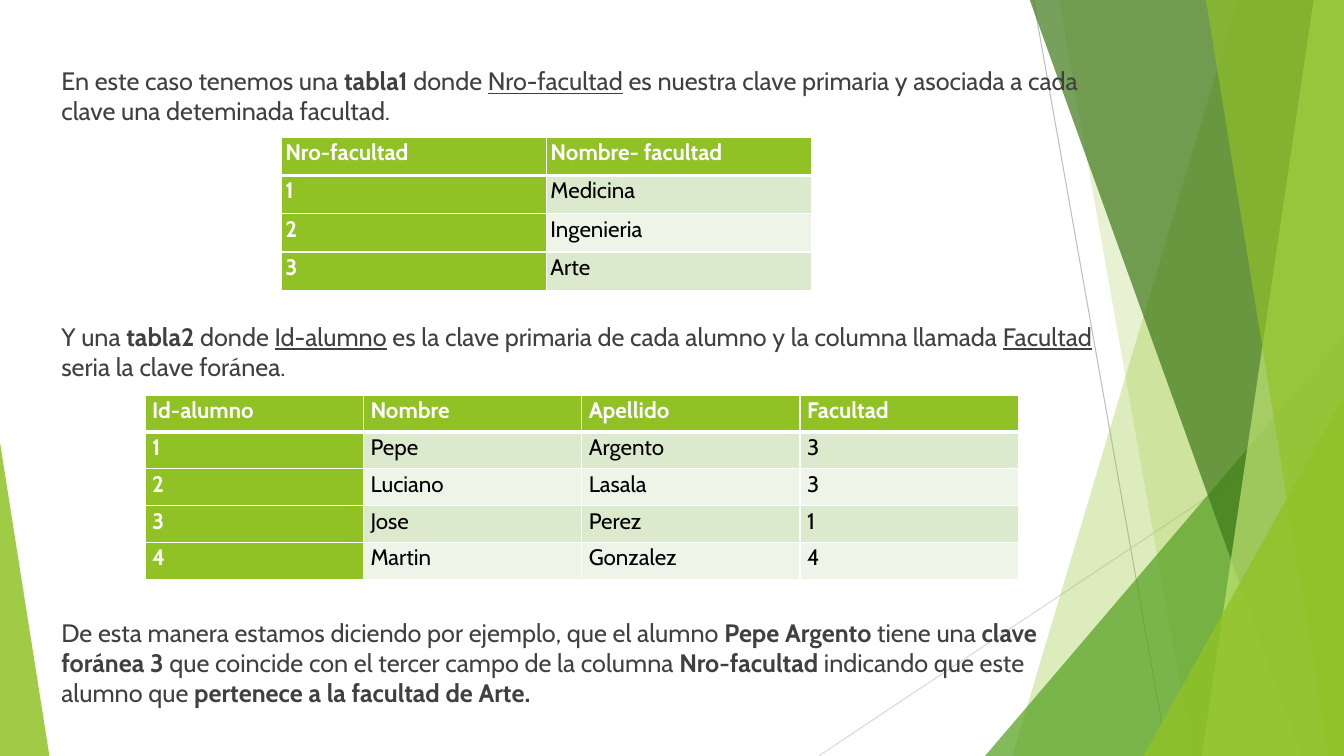
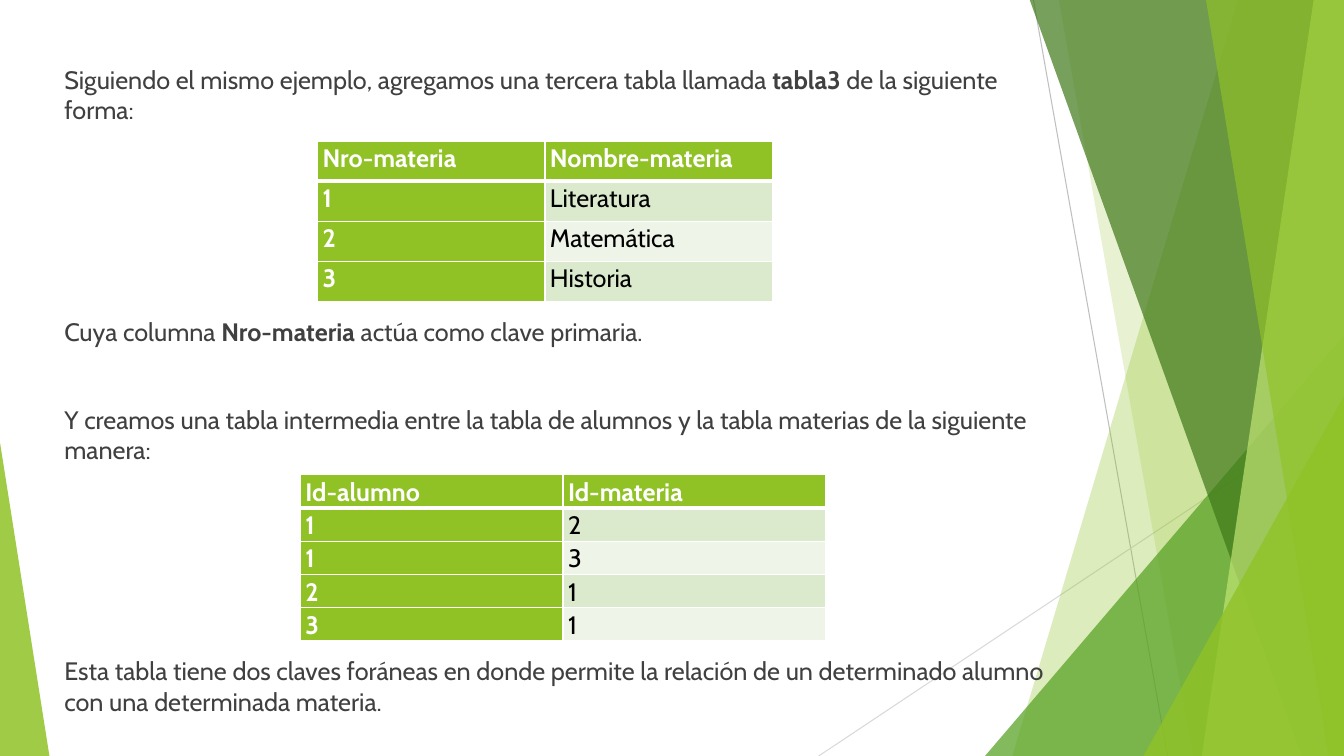
from dataclasses import dataclass

from lxml.etree import SubElement
from pptx import Presentation
from pptx.dml.color import RGBColor
from pptx.enum.shapes import MSO_CONNECTOR, MSO_SHAPE
from pptx.oxml.ns import qn
from pptx.util import Inches, Pt


@dataclass(frozen=True)
class Theme:
    """Colours, font and type sizes for the whole deck."""
    font: str = "Cabin"
    body: int = 18
    small: int = 16
    ink: str = "404040"
    black: str = "000000"
    white: str = "FFFFFF"
    lime: str = "90C226"
    green: str = "54A021"
    dark: str = "3F7819"
    pale: str = "C0E474"
    bands: tuple = ("EEF4E8", "DBE9CD")
    rules: tuple = ("BFBFBF", "D9D9D9")


theme = Theme()
WIDE, HIGH, TOP = 13.33, 7.5, -0.01

# Lines: start and end
LINES = [
    (10.25, 0, 11.58, HIGH),
    (WIDE, 4.03, 8.12, HIGH),
]

# Shards: fill, opacity, then either the left edge (top x, base x)
# or a triangle (left, top, width, height, apex)
SHARDS = [
    (theme.lime, 30, (12.28, 10.04)),
    (theme.lime, 20, (10.5, 11.83)),
    (theme.green, 72, (9.77, 3.33, 3.56, 4.17, 1)),
    (theme.dark, 70, (10.21, 12.91)),
    (theme.pale, 70, (13.03, 11.92)),
    (theme.lime, 65, (11.96, 13.18)),
    (theme.lime, 80, (11.34, 3.93, 1.99, 3.57, 1)),
    (theme.lime, 85, (0, 4.39, 0.49, 3.11, 0)),
]

# Slides: text box, paragraphs (space before, text), tables.
# In the text, *stars* mark bold and _bars_ mark underline.
SLIDES = [
    {
        "box": (0.51, 0.6, 10.52, 6.9),
        "text": [
            (0, "En este caso tenemos una *tabla1* donde _Nro-facultad_ es nuestra "
                "clave primaria y asociada a cada clave una deteminada facultad."),
            (139.6, "Y una *tabla2* donde _Id-alumno_ es la clave primaria de cada "
                    "alumno y la columna llamada _Facultad_ seria la clave foránea."),
            (168, "De esta manera estamos diciendo por ejemplo, que el alumno "
                  "*Pepe Argento *tiene una *clave foránea 3 *que coincide con el "
                  "tercer campo de la columna *Nro-facultad* indicando que este "
                  "alumno que *pertenece a la facultad de Arte.*"),
        ],
        "grids": [
            {"box": (2.79, 1.36, 5.26, 1.52), "size": theme.small, "pad": 0.04,
             "rows": [("Nro-facultad", "Nombre- facultad"), ("1", "Medicina"),
                      ("2", "Ingenieria"), ("3", "Arte")]},
            {"box": (1.44, 3.92, 8.66, 1.83), "size": theme.small, "pad": 0.07,
             "rows": [("Id-alumno", "Nombre", "Apellido", "Facultad"),
                      ("1", "Pepe", "Argento", "3"),
                      ("2", "Luciano", "Lasala", "3"),
                      ("3", "Jose", "Perez", "1"),
                      ("4", "Martin", "Gonzalez", "4")]},
        ],
    },
    {
        "box": (0.54, 0.59, 10.1, 6.63),
        "text": [
            (0, "Siguiendo el mismo ejemplo, agregamos una tercera tabla llamada "
                "*tabla3* de la siguiente forma:"),
            (136.4, "Cuya columna *Nro-materia* actúa como clave primaria."),
            (41.6, "Y creamos una tabla intermedia entre la tabla de alumnos y la "
                   "tabla materias de la siguiente manera:"),
            (136.4, "Esta tabla tiene dos claves foráneas en donde permite la "
                    "relación de un determinado alumno con una determinada materia."),
        ],
        "grids": [
            {"box": (3.15, 1.4, 4.51, 1.59), "size": theme.body, "pad": 0.05,
             "rows": [("Nro-materia", "Nombre-materia"), ("1", "Literatura"),
                      ("2", "Matemática"), ("3", "Historia")]},
            {"box": (2.98, 4.71, 5.21, 1.65), "size": theme.body, "pad": 0.05,
             "rows": [("Id-alumno", "Id-materia"), ("1", "2"), ("1", "3"),
                      ("2", "1"), ("3", "1")]},
        ],
    },
]


def write(para, text, size=theme.body, color=theme.ink, bold=False, before=0, line=1.0):
    """Fill a paragraph, with *bold* and _underlined_ parts."""
    para.space_before = Pt(before)
    para.line_spacing = line
    for i, part in enumerate(text.split("*")):
        for j, bit in enumerate(part.split("_")):
            if not bit:
                continue
            run = para.add_run()
            run.text = bit
            run.font.name = theme.font
            run.font.size = Pt(size)
            run.font.color.rgb = RGBColor.from_string(color)
            run.font.bold = bold or i % 2 == 1
            run.font.underline = j % 2 == 1


def draw_grid(slide, box, rows, size, pad):
    """Add a table with a green head row and first column."""
    left, top, width, height = map(Inches, box)
    table = slide.shapes.add_table(len(rows), len(rows[0]), left, top, width, height).table
    table.first_col = True
    table.horz_banding = False
    for r, row in enumerate(rows):
        for c, text in enumerate(row):
            cell = table.cell(r, c)
            cell.margin_left = cell.margin_right = Inches(pad)
            cell.margin_top = cell.margin_bottom = 0
            props = cell._tc.get_or_add_tcPr()
            for side in ("lnL", "lnR", "lnT", "lnB"):
                thick = (r, side) in ((0, "lnB"), (1, "lnT"))
                edge = SubElement(props, qn("a:" + side), w=str(Pt(3 if thick else 1)))
                fill = SubElement(edge, qn("a:solidFill"))
                SubElement(fill, qn("a:srgbClr"), val=theme.white)
            key = r == 0 or c == 0
            cell.fill.solid()
            cell.fill.fore_color.rgb = RGBColor.from_string(
                theme.lime if key else theme.bands[r % 2])
            write(cell.text_frame.paragraphs[0], text, size=size, bold=key,
                  color=theme.white if key else theme.black, line=1.07)


deck = Presentation()
deck.slide_width, deck.slide_height = Inches(WIDE), Inches(HIGH)

for page in SLIDES:
    slide = deck.slides.add_slide(deck.slide_layouts[6])
    art = slide.shapes.add_group_shape().shapes

    for ends, color in zip(LINES, theme.rules):
        rule = art.add_connector(MSO_CONNECTOR.STRAIGHT, *map(Inches, ends))
        rule.line.color.rgb = RGBColor.from_string(color)
        rule.line.width = Pt(0.75)
        SubElement(rule._element.spPr, qn("a:effectLst"))

    for color, alpha, form in SHARDS:
        if len(form) == 2:
            head, base = form
            edge = art.build_freeform(Inches(head), Inches(TOP))
            edge.add_line_segments([(Inches(x), Inches(y)) for x, y in
                                    ((WIDE, TOP), (WIDE, HIGH), (base, HIGH))])
            shard = edge.convert_to_shape()
        else:
            shard = art.add_shape(MSO_SHAPE.ISOSCELES_TRIANGLE, *map(Inches, form[:4]))
            shard.adjustments[0] = form[4]
        shard.shadow.inherit = False
        shard.line.fill.background()
        shard.fill.solid()
        shard.fill.fore_color.rgb = RGBColor.from_string(color)
        tint = shard._element.spPr.find(qn("a:solidFill"))[0]
        SubElement(tint, qn("a:alpha"), val=str(alpha * 1000))

    frame = slide.shapes.add_textbox(*map(Inches, page["box"])).text_frame
    frame.word_wrap = True
    for n, (gap, text) in enumerate(page["text"]):
        para = frame.add_paragraph() if n else frame.paragraphs[0]
        write(para, text, before=gap)

    for grid in page["grids"]:
        draw_grid(slide, **grid)

deck.save("out.pptx")
